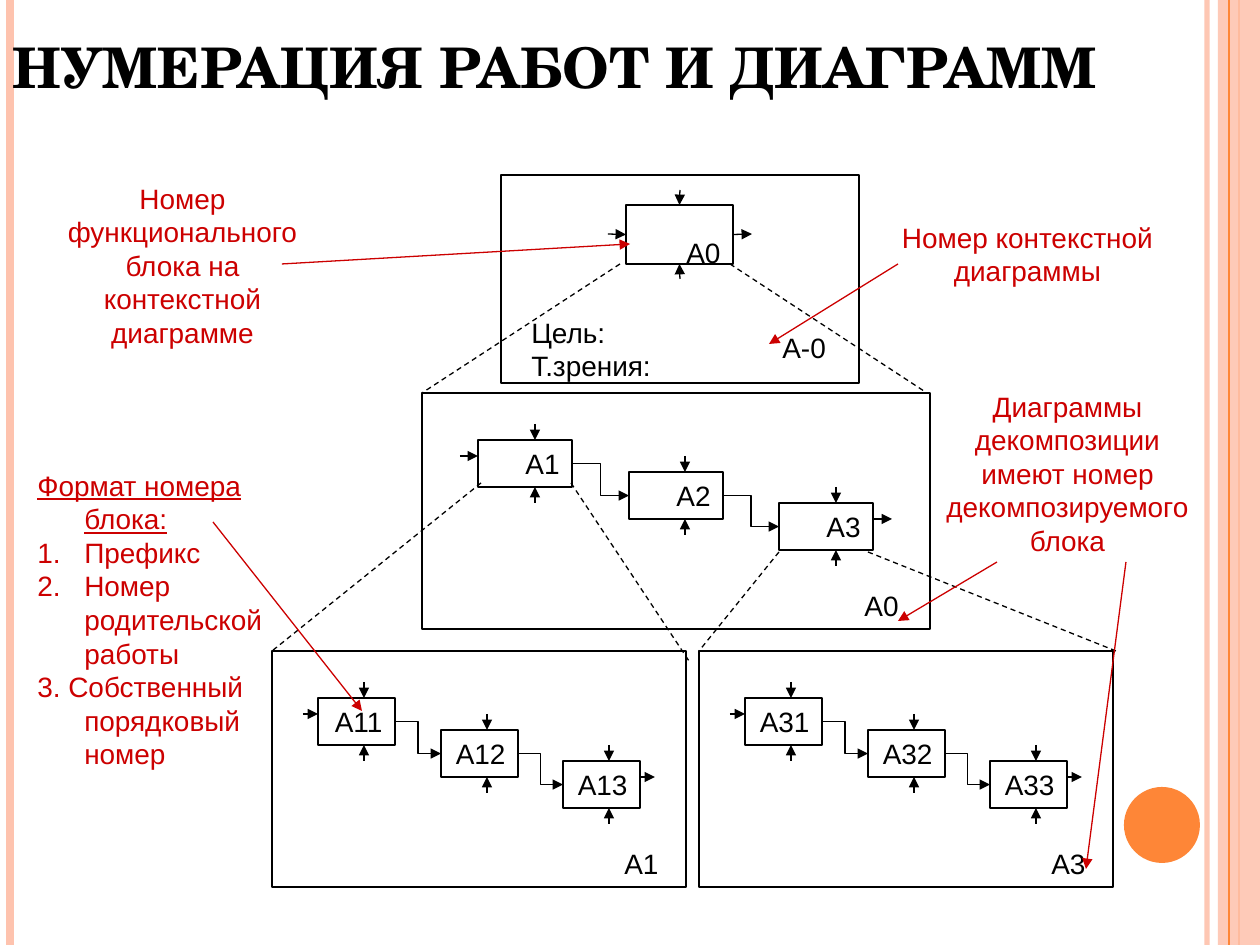
from lxml import etree
from pptx import Presentation
from pptx import util as u
from pptx.dml.color import RGBColor
from pptx.enum import dml, shapes, text
from pptx.oxml.ns import qn

EMU_PER_PX = 914400 / 126
WIDTH, HEIGHT = 1260, 945
COLORS = {"ink": "000000", "paper": "FFFFFF", "note": "CC0000",
          "orange": "FE8637", "peach": "FEC3AE"}
LEFT, CENTER, RIGHT = text.PP_ALIGN.LEFT, text.PP_ALIGN.CENTER, text.PP_ALIGN.RIGHT
TOP_SIDE, LEFT_SIDE, BOTTOM_SIDE, RIGHT_SIDE = range(4)


def px(n):
    return u.Emu(round(round(n) * EMU_PER_PX))


def rgb(name):
    return RGBColor.from_string(COLORS[name])


def set_alpha(element, percent):
    color = next(element.iter(qn("a:srgbClr")))
    etree.SubElement(color, qn("a:alpha"), val=str(percent * 1000))


def add_box(s, at, fill="paper", line=None, kind=shapes.MSO_SHAPE.RECTANGLE):
    sp = s.shapes.add_shape(kind, *map(px, at))
    sp.shadow.inherit = False
    sp.fill.solid()
    sp.fill.fore_color.rgb = rgb(fill)
    if line:
        sp.line.color.rgb = rgb(line)
        sp.line.width = u.Pt(0.75)
    else:
        sp.line.fill.background()
    return sp


def add_line(s, start, end, color="ink", width=0.75, arrow=False, dash=False,
             kind=shapes.MSO_CONNECTOR.STRAIGHT):
    c = s.shapes.add_connector(kind, *map(px, (*start, *end)))
    c.line.color.rgb = rgb(color)
    c.line.width = u.Pt(width)
    if dash:
        c.line.dash_style = dml.MSO_LINE.DASH
    if arrow:
        etree.SubElement(c.line._get_or_add_ln(), qn("a:tailEnd"), type="triangle")
    etree.SubElement(c._element.spPr, qn("a:effectLst"))
    return c


def add_run(p, words, color="ink", size=16, font="Arial", bold=False, underline=False):
    r = p.add_run()
    r.text = words
    r.font.size, r.font.name = u.Pt(size), font
    r.font.bold, r.font.underline = bold, underline
    r.font.color.rgb = rgb(color)


def write(sp, lines, align=LEFT, **style):
    """Put one paragraph per line in a shape, from the top down."""
    tf = sp.text_frame
    tf.word_wrap = True
    tf.vertical_anchor = text.MSO_ANCHOR.TOP
    for i, words in enumerate(lines):
        p = tf.add_paragraph() if i else tf.paragraphs[0]
        p.alignment = align
        add_run(p, words, **style)


def add_text(s, at, lines, align=CENTER, **style):
    tb = s.shapes.add_textbox(*map(px, at))
    write(tb, lines, align, **style)
    return tb


def add_projection(s, *edges):
    """Dashed lines from a block to the frame that details it."""
    for start, end in edges:
        add_line(s, start, end, dash=True)


def add_background(s):
    stripe = add_line(s, (1207, 0), (1207, HEIGHT), "peach", 3)
    set_alpha(stripe._element, 93)
    add_line(s, (10, 0), (10, HEIGHT), "peach", 4.5)
    add_line(s, (1239, 0), (1239, HEIGHT), "orange", 1.5)
    band = add_box(s, (1218, 0, 42, HEIGHT), "peach")
    set_alpha(band._element, 87)
    add_line(s, (1229, 0), (1229, HEIGHT), "orange")
    add_box(s, (1124, 787, 76, 76), "orange", kind=shapes.MSO_SHAPE.OVAL)


def add_context_diagram(s, x, y, w, h):
    ux, uy = w / 20, h / 14

    def at(col, row):
        return x + col * ux, y + row * uy

    add_box(s, (x, y, w, h), line="ink")
    block = add_box(s, (*at(7, 2), 6 * ux, 4 * uy), line="ink")
    write(block, ["А0"], RIGHT)
    block.text_frame.margin_top, block.text_frame.margin_bottom = px(30), 0
    for start, end, side in [(at(6, 4), at(7, 4), LEFT_SIDE),
                             (at(10, 1), at(10, 2), TOP_SIDE),
                             (at(10, 7), at(10, 6), BOTTOM_SIDE)]:
        add_line(s, start, end, arrow=True).end_connect(block, side)
    add_line(s, at(13, 4), at(14, 4), arrow=True).begin_connect(block, RIGHT_SIDE)
    write(add_box(s, (*at(1, 9), 9 * ux, 4 * uy)), ["Цель:", "Т.зрения:"])
    write(add_box(s, (*at(15, 10), 4 * ux, 3 * uy)), ["А-0"])


def add_decomposition(s, x, y, w, h, number, prefix):
    """A frame with a staircase of three linked blocks on a 27 by 15 grid."""
    ux, uy = w / 27, h / 15

    def at(col, row):
        return x + col * ux, y + row * uy

    add_box(s, (x, y, w, h), line="ink")
    blocks = []
    for i in range(3):
        col, row = 3 + 8 * i, 3 + 2 * i
        block = add_box(s, (*at(col, row), 5 * ux, 3 * uy), line="ink")
        write(block, [f"{prefix}{i + 1}"], RIGHT)
        add_line(s, at(col + 3, row - 1), at(col + 3, row), arrow=True)
        add_line(s, at(col + 3, row + 4), at(col + 3, row + 3), arrow=True)
        blocks.append(block)
    add_line(s, at(2, 4), at(3, 4), arrow=True)
    add_line(s, at(24, 8), at(25, 8), arrow=True)
    for i, (source, target) in enumerate(zip(blocks, blocks[1:])):
        link = add_line(s, at(8 + 8 * i, 4.5 + 2 * i), at(11 + 8 * i, 6.5 + 2 * i),
                        arrow=True, kind=shapes.MSO_CONNECTOR.ELBOW)
        link.begin_connect(source, RIGHT_SIDE)
        link.end_connect(target, LEFT_SIDE)
    write(add_box(s, (*at(21, 12), 5 * ux, 2 * uy)), [number], RIGHT)


def add_note(s, at, lines, *arrows):
    add_text(s, at, lines, color="note")
    for start, end in arrows:
        add_line(s, start, end, "note", arrow=True)


def add_format_note(s):
    tb = s.shapes.add_textbox(*map(px, (25, 462, 278, 315)))
    tf = tb.text_frame
    tf.word_wrap = True
    lines = [("Формат номера блока:", False), ("Префикс", True),
             ("Номер родительской работы", True),
             ("3. Собственный порядковый номер", False)]
    for i, (words, numbered) in enumerate(lines):
        p = tf.add_paragraph() if i else tf.paragraphs[0]
        pPr = p._p.get_or_add_pPr()
        pPr.set("marL", str(px(47)))
        pPr.set("indent", str(-px(47)))
        if numbered:
            color = etree.SubElement(pPr, qn("a:buClr"))
            etree.SubElement(color, qn("a:srgbClr"), val=COLORS["note"])
            etree.SubElement(pPr, qn("a:buFont"), typeface="Arial")
            etree.SubElement(pPr, qn("a:buAutoNum"), type="arabicPeriod")
        add_run(p, words, "note", underline=i == 0)
    add_line(s, (213, 522), (362, 711), "note", arrow=True)


def main():
    prs = Presentation()
    prs.slide_width, prs.slide_height = px(WIDTH), px(HEIGHT)
    s = prs.slides.add_slide(prs.slide_layouts[6])
    add_background(s)
    title = add_text(s, (0, 38, 1134, 68), ["НУМЕРАЦИЯ РАБОТ И ДИАГРАММ"], LEFT,
                     size=32, font="TeX Gyre Schola", bold=True)
    title.text_frame.vertical_anchor = text.MSO_ANCHOR.BOTTOM

    add_context_diagram(s, 501, 175, 358, 208)
    add_decomposition(s, 422, 393, 508, 236, "А0", "А")
    add_projection(s, ((620, 264), (422, 393)), ((730, 264), (927, 393)))
    add_decomposition(s, 272, 651, 414, 236, "А1", "А1")
    add_projection(s, ((481, 483), (272, 651)), ((571, 483), (689, 661)))
    add_decomposition(s, 699, 651, 414, 236, "А3", "А3")
    add_projection(s, ((779, 552), (699, 651)), ((868, 552), (1116, 651)))

    add_note(s, (828, 214, 399, 81), ["Номер контекстной диаграммы"],
             ((898, 264), (769, 344)))
    add_note(s, (34, 175, 297, 181),
             ["Номер функционального", "блока на контекстной диаграмме"],
             ((282, 264), (630, 244)))
    add_note(s, (917, 383, 301, 181),
             ["Диаграммы декомпозиции имеют номер декомпозируемого блока"],
             ((997, 562), (898, 621)), ((1126, 562), (1086, 869)))
    add_format_note(s)
    prs.save("out.pptx")


if __name__ == "__main__":
    main()
